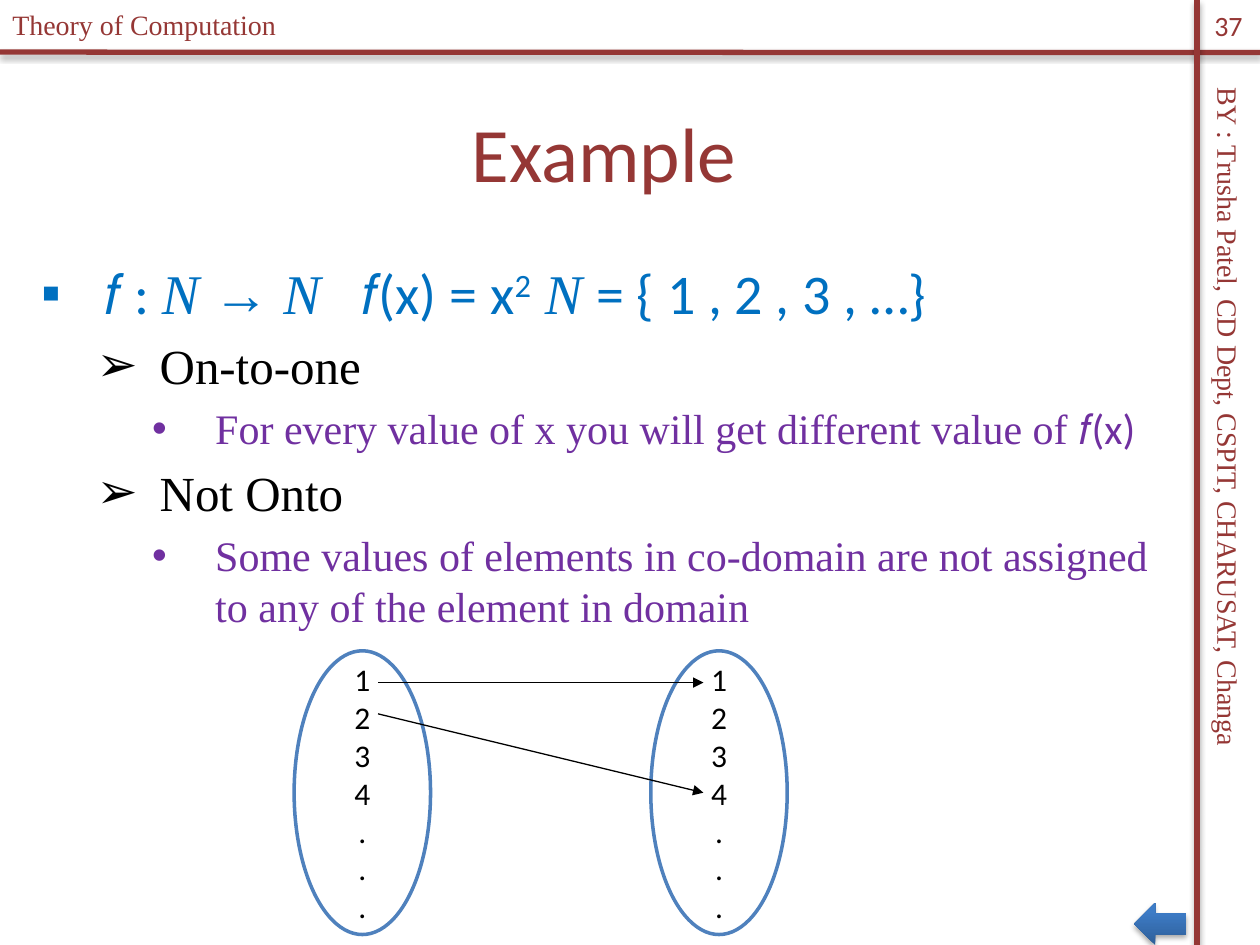
from lxml.etree import SubElement
from pptx import Presentation
from pptx.dml.color import RGBColor
from pptx.enum.shapes import MSO_CONNECTOR as Connector, MSO_SHAPE as Shape
from pptx.enum.text import MSO_ANCHOR as Anchor, PP_ALIGN as Align
from pptx.oxml.ns import qn
from pptx.util import Cm, Pt

MAROON = RGBColor(0x95, 0x37, 0x35)
BLUE = RGBColor(0x00, 0x70, 0xC0)
PURPLE = RGBColor(0x70, 0x30, 0xA0)
BLACK = RGBColor(0x00, 0x00, 0x00)
WHITE = RGBColor(0xFF, 0xFF, 0xFF)
OUTLINE = RGBColor(0x4F, 0x81, 0xBD)
ARROW_DARK = RGBColor(0x2F, 0x5F, 0x99)
ARROW_LIGHT = RGBColor(0x3D, 0x7C, 0xC7)
SANS, SERIF = "Calibri", "Times New Roman"

# Content: lengths in cm; labels are text, place, size, font, alignment, rotation
LABELS = [
    ("Theory of Computation", (0, 0.03, 8.36, 0.94), 16, SERIF, Align.LEFT, 0),
    ("BY : Trusha Patel, CD Dept, CSPIT, CHARUSAT, Changa",
     (16.61, 9.19, 16.31, 0.94), 16, SERIF, Align.LEFT, 90),
    ("Example", (0.43, 1.47, 23.5, 3.18), 44, SANS, Align.CENTER, 0),
    ("37", (24.13, 0, 1.27, 1.02), 16, SANS, Align.CENTER, 0),
]
RULES = [(0, 1.05, 25.4, 1.06), (24.13, 0, 24.13, 19.05)]

# Outline levels: bullet, left margin, size, colour
LEVELS = [("▪", 1.42, 32, BLUE), ("➢", 2.54, 28, BLACK), ("•", 3.66, 24, PURPLE)]
HANGING = 1.27
# Outline lines: level, then runs of text and style (s sans, i italic, u superscript)
OUTLINE_LINES = [
    (0, [("𝑓 : ", "s"), ("N ", "i"), ("→ ", ""), ("N \t", "i"),
         (" 𝑓(x) = x", "s"), ("2\t ", "su"), ("N ", "i"),
         ("= { 1 , 2 , 3 , …}", "s")]),
    (1, [("On-to-one", "")]),
    (2, [("For every value of x you will get different value of ", ""),
         ("𝑓(x)", "s")]),
    (1, [("Not Onto", "")]),
    (2, [("Some values of elements in co-domain are not assigned "
          "to any of the element in domain", "")]),
]

SET_ITEMS = ["1", "2", "3", "4", ".", ".", "."]
SET_LEFTS = [5.93, 13.12]
SET_TOP, SET_WIDTH, SET_HEIGHT = 13.12, 2.75, 5.72
MAP_FROM, MAP_TO = 7.62, 14.18
MAPPINGS = [(13.76, 13.76), (14.39, 15.98)]
BACK_ARROW = (22.86, 18.2, 1.06, 0.85)


def style_font(font, size, name, color):
    font.size, font.name = Pt(size), name
    font.color.rgb = color


def add_effects(shape, shadow):
    """Give a shape its own effect list, empty or with a soft drop shadow."""
    effects = SubElement(shape._element.spPr, qn("a:effectLst"))
    if shadow:
        outer = SubElement(effects, qn("a:outerShdw"), blurRad=str(Pt(3.1)),
                           dist=str(Pt(1.8)), dir="5400000", rotWithShape="0")
        color = SubElement(outer, qn("a:srgbClr"), val="000000")
        SubElement(color, qn("a:alpha"), val="35000")


def add_line(page, ends, color, width, arrow=False, shadow=False):
    line = page.shapes.add_connector(Connector.STRAIGHT, *map(Cm, ends))
    line.line.color.rgb = color
    line.line.width = Pt(width)
    if arrow:
        SubElement(line.line._get_or_add_ln(), qn("a:tailEnd"), type="triangle")
    add_effects(line, shadow)


def add_label(page, text, place, size, name, align, rotation):
    box = page.shapes.add_textbox(*map(Cm, place))
    box.rotation = rotation
    frame = box.text_frame
    frame.word_wrap = True
    frame.vertical_anchor = Anchor.MIDDLE
    para = frame.paragraphs[0]
    para.text, para.alignment = text, align
    style_font(para.font, size, name, MAROON)


def add_outline(page):
    frame = page.shapes.add_textbox(Cm(0.43), Cm(5.08), Cm(23.5), Cm(13.34)).text_frame
    frame.word_wrap = True
    for index, (level, runs) in enumerate(OUTLINE_LINES):
        bullet, margin, size, color = LEVELS[level]
        para = frame.paragraphs[0] if index == 0 else frame.add_paragraph()
        para.level = level
        if index:
            para.space_before = Pt(size * 0.2)
        props = para._p.get_or_add_pPr()
        props.set("marL", str(Cm(margin)))
        props.set("indent", str(-Cm(HANGING)))
        SubElement(props, qn("a:buFont"), typeface="Arial")
        SubElement(props, qn("a:buChar"), char=bullet)
        style_font(para.font, size, SERIF, color)
        for text, style in runs:
            span = para.add_run()
            span.text = text
            if "s" in style:
                span.font.name = SANS
            if "i" in style:
                span.font.italic = True
            if "u" in style:
                span._r.get_or_add_rPr().set("baseline", "30000")


def add_set(page, left):
    oval = page.shapes.add_shape(Shape.OVAL, Cm(left), Cm(SET_TOP),
                                 Cm(SET_WIDTH), Cm(SET_HEIGHT))
    oval.shadow.inherit = False
    oval.fill.solid()
    oval.fill.fore_color.rgb = WHITE
    oval.line.color.rgb = OUTLINE
    oval.line.width = Pt(2)
    frame = oval.text_frame
    frame.vertical_anchor = Anchor.MIDDLE
    frame.text = "\n".join(SET_ITEMS)
    for para in frame.paragraphs:
        para.alignment = Align.CENTER
        style_font(para.font, 18, SANS, BLACK)


def add_back_arrow(page):
    arrow = page.shapes.add_shape(Shape.LEFT_ARROW, *map(Cm, BACK_ARROW))
    arrow.fill.gradient()
    arrow.fill.gradient_angle = 90
    dark, light = arrow.fill.gradient_stops
    dark.color.rgb, dark.position = ARROW_DARK, 0
    light.color.rgb, light.position = ARROW_LIGHT, 0.8
    arrow.line.fill.background()
    add_effects(arrow, shadow=True)


def main():
    deck = Presentation()
    deck.slide_width, deck.slide_height = Cm(25.4), Cm(19.05)
    page = deck.slides.add_slide(deck.slide_layouts[6])

    # Frame rules, labels and outline
    for ends in RULES:
        add_line(page, ends, MAROON, 3, shadow=True)
    for label in LABELS:
        add_label(page, *label)
    add_outline(page)

    # Mapping between the two sets
    for left in SET_LEFTS:
        add_set(page, left)
    for start, end in MAPPINGS:
        add_line(page, (MAP_FROM, start, MAP_TO, end), BLACK, 0.75, arrow=True)

    add_back_arrow(page)
    deck.save("out.pptx")


if __name__ == "__main__":
    main()
